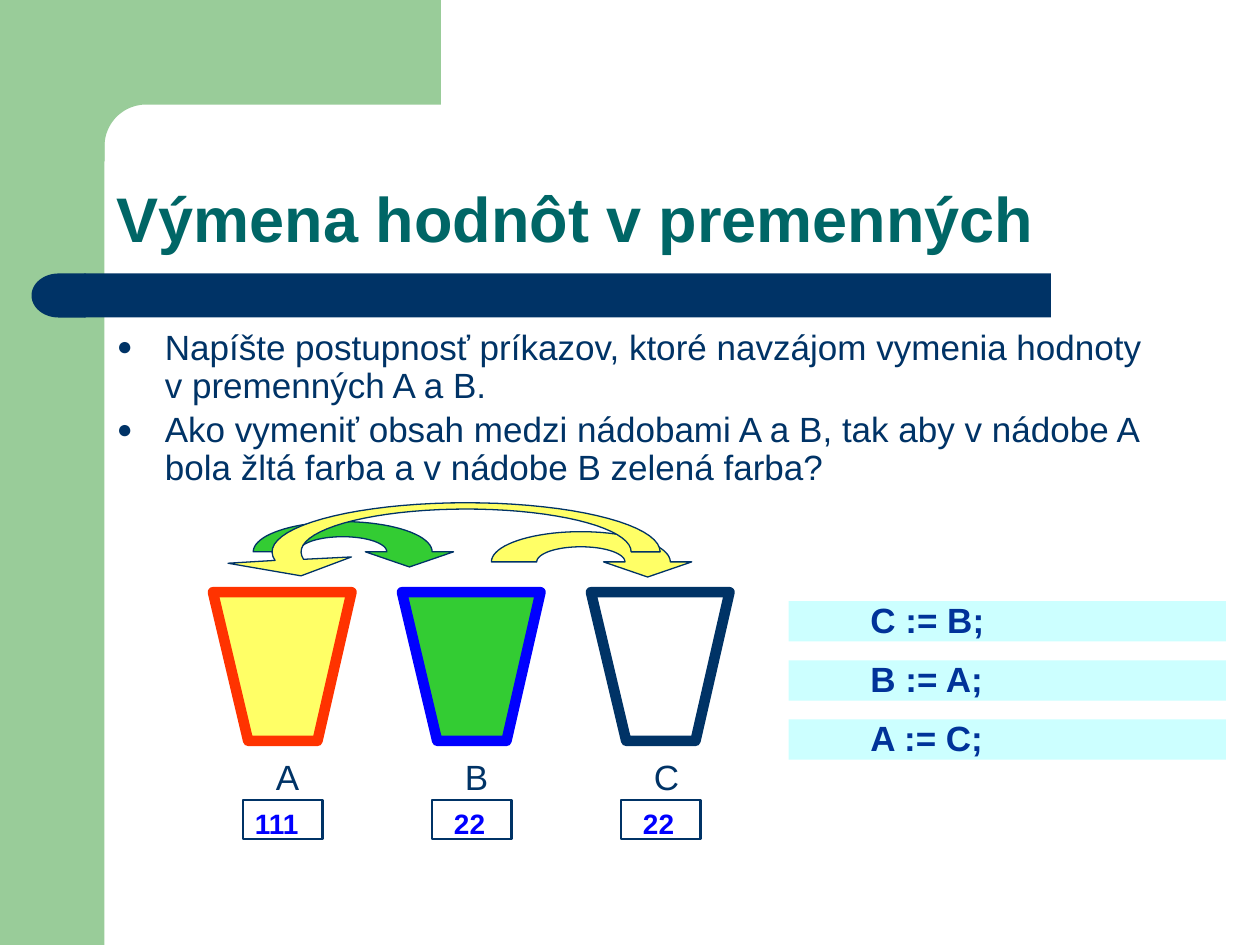
"""Build the slide on swapping the values of two variables."""
from math import cos, radians, sin

from lxml.etree import SubElement
from pptx import Presentation
from pptx.dml.color import RGBColor
from pptx.enum.shapes import MSO_SHAPE as SHAPE
from pptx.enum.text import MSO_ANCHOR as ANCHOR
from pptx.oxml.ns import qn
from pptx.util import Inches, Pt

NAVY, GREEN, YELLOW, BLUE = "003366", "33CC33", "FFFF66", "0000FF"
SIDE = "99CC99"

prs = Presentation()
prs.slide_width, prs.slide_height = Inches(10), Inches(7.5)
s = prs.slides.add_slide(prs.slide_layouts[6])
rgb = RGBColor.from_string


def draw(outline, at=None, fill=None, line=None, width=0.75):
    if at:
        sp = s.shapes.add_shape(outline, *map(Inches, at))
    else:
        pts = [(Inches(x), Inches(y)) for x, y in outline]
        fb = s.shapes.build_freeform(*pts[0])
        fb.add_line_segments(pts[1:], close=True)
        sp = fb.convert_to_shape()
    sp.shadow.inherit = False
    if fill:
        sp.fill.solid()
        sp.fill.fore_color.rgb = rgb(fill)
    else:
        sp.fill.background()
    if line:
        sp.line.color.rgb = rgb(line)
        sp.line.width = Pt(width)
    else:
        sp.line.fill.background()
    return sp


def write(text, at, size=20, color=NAVY, bold=False, wrap=False,
          anchor=ANCHOR.TOP, spacing=1.0, bullet=False):
    tf = s.shapes.add_textbox(*map(Inches, at)).text_frame
    tf.word_wrap, tf.vertical_anchor = wrap, anchor
    for i, part in enumerate(text.split("\n")):
        p = tf.paragraphs[0] if i == 0 else tf.add_paragraph()
        p.line_spacing = spacing
        r = p.add_run()
        r.text = part
        r.font.name, r.font.size, r.font.bold = "Arial", Pt(size), bold
        r.font.color.rgb = rgb(color)
        if bullet:
            p.space_before = Pt(4)
            pPr = p._p.get_or_add_pPr()
            pPr.set("marL", str(Inches(0.38)))
            pPr.set("indent", str(-Inches(0.38)))
            clr = SubElement(pPr, qn("a:buClr"))
            SubElement(clr, qn("a:srgbClr"), val=color)
            SubElement(pPr, qn("a:buSzPct"), val="75000")
            SubElement(pPr, qn("a:buFont"), typeface="Arial")
            SubElement(pPr, qn("a:buChar"), char="●")


arc = lambda cx, cy, rx, ry, start, end: [
    (cx + rx * cos(a), cy - ry * sin(a))
    for a in (radians(start + (end - start) * i / 40) for i in range(41))]

draw(SHAPE.RECTANGLE, (0, 0, 0.83, 7.5), SIDE)
draw([(0.5, 0), (3.5, 0), (3.5, 0.83)] + arc(1.16, 1.16, 0.33, 0.33, 90, 180)
     + [(0.83, 1.28), (0.5, 1.28)], fill=SIDE)
draw(SHAPE.RECTANGLE, (0.67, 2.17, 7.67, 0.35), NAVY)
draw(SHAPE.FLOWCHART_DELAY, (0.25, 2.17, 0.43, 0.35), NAVY).rotation = 180

write("Výmena hodnôt v premenných", (0.83, 0.83, 8.67, 1.25), size=36,
      color="006666", bold=True, wrap=True, anchor=ANCHOR.BOTTOM, spacing=0.9)
write("Napíšte postupnosť príkazov, ktoré navzájom vymenia hodnoty "
      "v premenných A a B.\nAko vymeniť obsah medzi nádobami A a B, tak aby "
      "v nádobe A bola žltá farba a v nádobe B zelená farba?",
      (0.83, 2.57, 8.41, 1.42), wrap=True, spacing=0.9, bullet=True)

for cx, cy, fill in [(4.61, 4.46, YELLOW), (2.72, 4.38, GREEN)]:
    draw(arc(cx, cy, 0.35, 0.12, 0, 180) + arc(cx, cy, 0.71, 0.24, 180, 0)
         + [(cx + 0.88, cy), (cx + 0.53, cy + 0.12), (cx + 0.18, cy)],
         fill=fill, line=NAVY)
draw(arc(3.7, 4.38, 1.31, 0.34, 190, 0) + arc(3.7, 4.38, 1.54, 0.39, 0, 190)
     + [(1.81, 4.47), (2.39, 4.57), (2.79, 4.42)], fill=YELLOW, line=NAVY)

cups = [("A", YELLOW, "FF3300", "111", 0.63), ("B", GREEN, BLUE, "22", 0.47),
        ("C", "FFFFFF", NAVY, "22", 0.47)]
for i, (name, fill, line, value, w) in enumerate(cups):
    x = 1.69 + 1.5 * i
    mid = x + 0.55
    draw([(x, 4.7), (x + 0.28, 5.88), (x + 0.83, 5.88), (x + 1.1, 4.7)],
         fill=fill, line=line, width=6)
    write(name, (x + 0.4, 5.95, 0.31, 0.43))
    draw(SHAPE.RECTANGLE, (mid - 0.31, 6.35, 0.63, 0.31), line=NAVY, width=1.5)
    write(value, (mid - w / 2, 6.35, w, 0.37), size=16, color=BLUE, bold=True)

for i, command in enumerate(["C := B;", "B := A;", "A := C;"]):
    y = 4.7 + 0.47 * i
    draw(SHAPE.RECTANGLE, (6.26, y + 0.07, 3.47, 0.32), "CCFFFF")
    write(command, (6.81, y, 1.26, 0.43), color="003399", bold=True)

prs.save("out.pptx")
